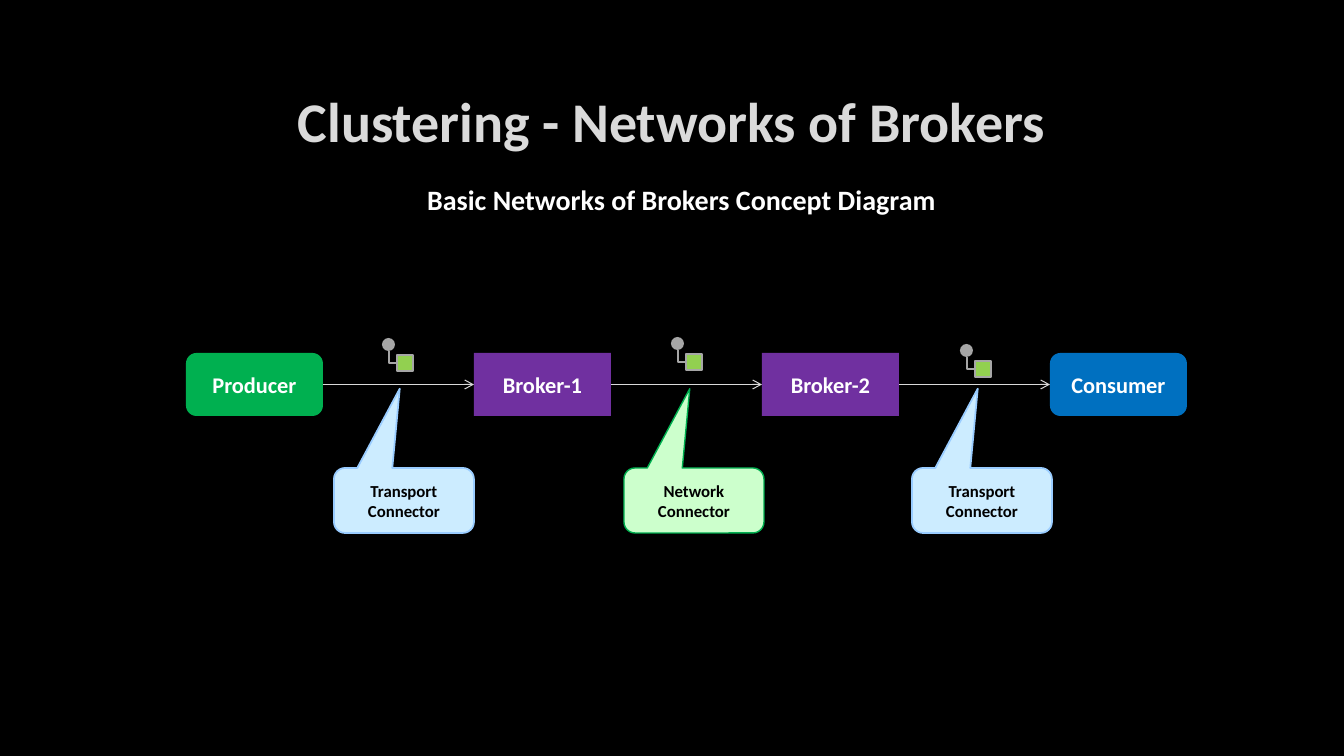
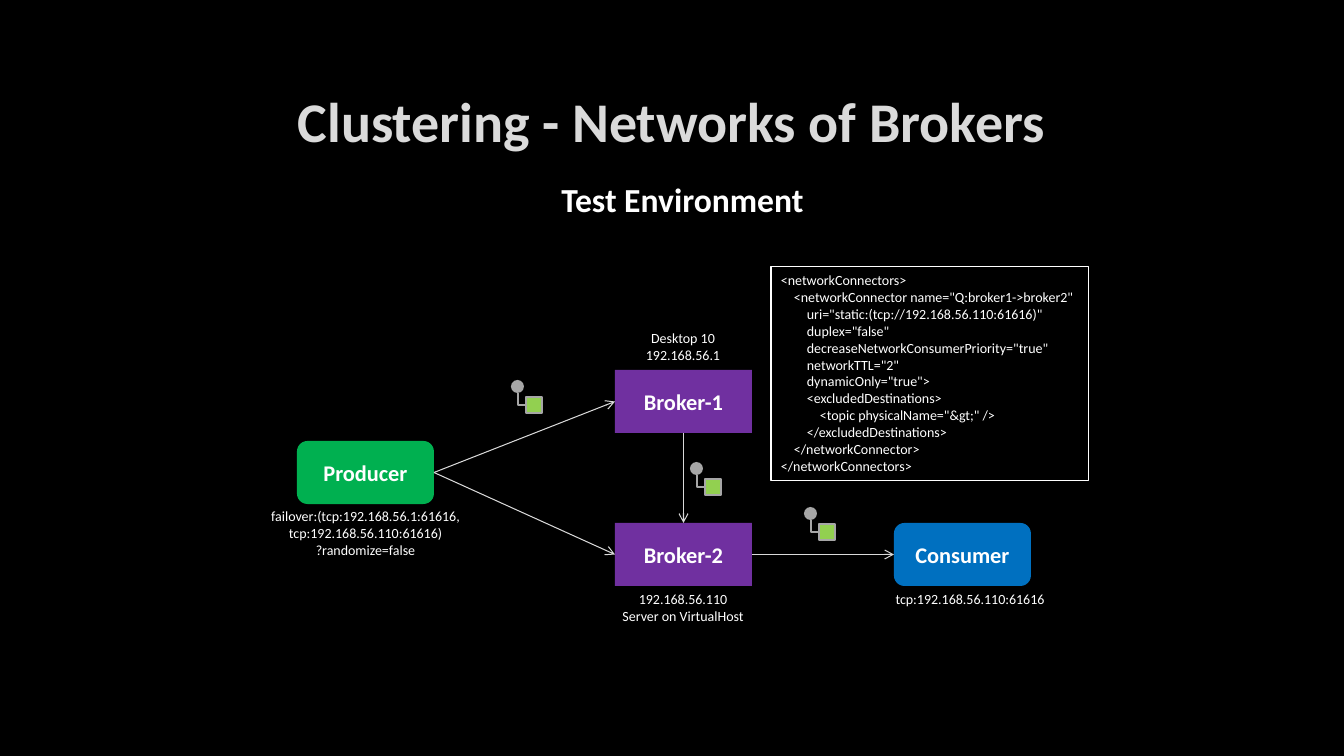
from lxml.etree import SubElement
from pptx import Presentation
from pptx.dml.color import RGBColor
from pptx.enum.shapes import MSO_CONNECTOR as Link, MSO_SHAPE as Form
from pptx.enum.text import MSO_ANCHOR as Anchor, PP_ALIGN as Align
from pptx.oxml.ns import qn
from pptx.util import Emu, Pt

WIDE, HIGH = 1344, 756
SCALE = 12192000 / WIDE
FONT = "Calibri"
TITLE = "Clustering - Networks of Brokers"
COLORS = {
    "back": "000000", "title": "DADADA", "white": "FFFFFF", "black": "000000",
    "green": "00B050", "purple": "7030A0", "blue": "0070C0",
    "arrow": "D9D9D9", "gray": "A6A6A6", "lime": "92D050",
    "sky": "CCECFF", "sky edge": "99CCFF", "mint": "CCFFCC",
}
NODE = (137, 63)
TOP, LEFT, BOTTOM, RIGHT = range(4)  # connection sites of a node
KINDS = {
    "Producer": (Form.ROUNDED_RECTANGLE, "green"),
    "Broker-1": (Form.RECTANGLE, "purple"),
    "Broker-2": (Form.RECTANGLE, "purple"),
    "Consumer": (Form.ROUNDED_RECTANGLE, "blue"),
}
CODE = [  # indent level, text
    (0, '<networkConnectors>'),
    (1, '<networkConnector name="Q:broker1->broker2"'),
    (2, 'uri="static:(tcp://192.168.56.110:61616)"'),
    (2, 'duplex="false"'),
    (2, 'decreaseNetworkConsumerPriority="true"'),
    (2, 'networkTTL="2"'),
    (2, 'dynamicOnly="true">'),
    (2, '<excludedDestinations>'),
    (3, '<topic physicalName="&gt;" />'),
    (2, '</excludedDestinations>'),
    (1, '</networkConnector>'),
    (0, '</networkConnectors>'),
]


def px(*sizes):
    return [Emu(round(size * SCALE)) for size in sizes]


def color(name):
    return RGBColor.from_string(COLORS[name])


def write(shape, text, size, hue="white", bold=False, align=Align.CENTER,
          anchor=Anchor.MIDDLE, wrap=True):
    frame = shape.text_frame
    frame.text = text
    frame.word_wrap = wrap
    frame.vertical_anchor = anchor
    for para in frame.paragraphs:
        para.alignment = align
        for run in para.runs:
            font = run.font
            font.name, font.size, font.bold = FONT, Pt(size), bold
            font.color.rgb = color(hue)


def draw(shapes, form, box, fill=None, edge=None, width=1.25):
    shape = shapes.add_shape(form, *px(*box))
    shape.shadow.inherit = False
    if fill:
        shape.fill.solid()
        shape.fill.fore_color.rgb = color(fill)
    else:
        shape.fill.background()
    if edge:
        shape.line.color.rgb = color(edge)
        shape.line.width = Pt(width)
    else:
        shape.line.fill.background()
    return shape


def stroke(line, hue, width):
    line.line.color.rgb = color(hue)
    line.line.width = Pt(width)
    SubElement(line._element.spPr, qn("a:effectLst"))


def arrow(slide, start, end, out=RIGHT, into=LEFT):
    line = slide.shapes.add_connector(Link.STRAIGHT, 0, 0, 0, 0)
    line.begin_connect(start, out)
    line.end_connect(end, into)
    stroke(line, "arrow", 0.75)
    SubElement(line.line._get_or_add_ln(), qn("a:tailEnd"), type="arrow")


def node(slide, name, x, y):
    form, fill = KINDS[name]
    shape = draw(slide.shapes, form, (x, y, *NODE), fill)
    write(shape, name, 16, bold=True)
    return shape


def icon(slide, x, y):
    """A ball joined to a square by a stem that goes down, then right."""
    parts = slide.shapes.add_group_shape().shapes
    draw(parts, Form.OVAL, (x, y, 13, 13), "gray")
    draw(parts, Form.RECTANGLE, (x + 15, y + 17, 16, 16), "lime", "gray")
    stem = parts.add_connector(Link.ELBOW, *px(x + 17, y + 15, x + 5, y + 23))
    spec = stem._element.spPr
    spec.find(qn("a:prstGeom")).set("prst", "bentConnector2")
    spec.find(qn("a:xfrm")).set("rot", str(270 * 60000))
    stroke(stem, "gray", 1)


def callout(slide, word, x, y, fill, edge, width):
    shape = draw(slide.shapes, Form.ROUNDED_RECTANGULAR_CALLOUT,
                 (x, y, 140, 65), fill, edge, width)
    for i, value in enumerate((-0.03, -1.72, 0.17)):
        shape.adjustments[i] = value
    write(shape, word + "\nConnector", 12, "black", bold=True)


def label(slide, text, box, size=10, bold=False, wrap=False):
    shape = slide.shapes.add_textbox(*px(*box))
    write(shape, text, size, bold=bold, anchor=Anchor.TOP, wrap=wrap)


def listing(slide, box):
    shape = draw(slide.shapes, Form.RECTANGLE, box, edge="white", width=0.75)
    write(shape, "\n".join(text for _, text in CODE), 10,
          align=Align.LEFT, anchor=Anchor.TOP, wrap=False)
    for (level, _), para in zip(CODE, shape.text_frame.paragraphs):
        para._p.get_or_add_pPr().set("marL", str(px(level * 13)[0]))


def chain(slide, x, y):
    """Four nodes in a row, with an icon and a callout at each link."""
    nodes = [node(slide, name, x + 288 * i, y) for i, name in enumerate(KINDS)]
    for start, end in zip(nodes, nodes[1:]):
        arrow(slide, start, end)
    for dx, dy in ((196, -15), (485, -16), (774, -9)):
        icon(slide, x + dx, y + dy)
    sky = ("sky", "sky edge", 1.25)
    for word, dx, style in (("Transport", 148, sky), ("Transport", 726, sky),
                            ("Network", 438, ("mint", "green", 1))):
        callout(slide, word, x + dx, y + 115, *style)


def network(slide, x, y):
    """The test nodes with their addresses and the broker settings."""
    spots = ((49, 174), (367, 103), (367, 256), (646, 256))
    source, first, second, sink = [
        node(slide, name, x + dx, y + dy)
        for name, (dx, dy) in zip(KINDS, spots)]
    arrow(slide, source, first)
    arrow(slide, source, second)
    arrow(slide, second, sink)
    arrow(slide, first, second, BOTTOM, TOP)
    for dx, dy in ((263, 113), (556, 240), (442, 195)):
        icon(slide, x + dx, y + dy)
    for text, dx, dy, wide, high in (
            ("Desktop 10\n192.168.56.1", 387, 58, 96, 44),
            ("192.168.56.110\nServer on VirtualHost", 363, 319, 144, 44),
            ("failover:(tcp:192.168.56.1:61616,\ntcp:192.168.56.110:61616)\n"
             "?randomize=false", 0, 236, 235, 61),
            ("tcp:192.168.56.110:61616", 636, 319, 172, 27)):
        label(slide, text, (x + dx, y + dy, wide, high))
    listing(slide, (x + 523, y, 318, 214))


def page(deck, topic, box, size):
    slide = deck.slides.add_slide(deck.slide_layouts[5])
    title = slide.shapes.title
    title.left, title.top, title.width, title.height = px(101, 67, 1141, 107)
    write(title, TITLE, 40, "title", bold=True)
    label(slide, topic, box, size, bold=True)
    return slide


def main():
    deck = Presentation()
    deck.slide_width, deck.slide_height = px(WIDE, HIGH)
    back = deck.slide_master.background.fill
    back.solid()
    back.fore_color.rgb = color("back")
    chain(page(deck, "Basic Networks of Brokers Concept Diagram",
               (415, 178, 533, 44), 20), 186, 353)
    network(page(deck, "Test Environment", (550, 174, 265, 50), 24), 248, 267)
    deck.save("out.pptx")


if __name__ == "__main__":
    main()
